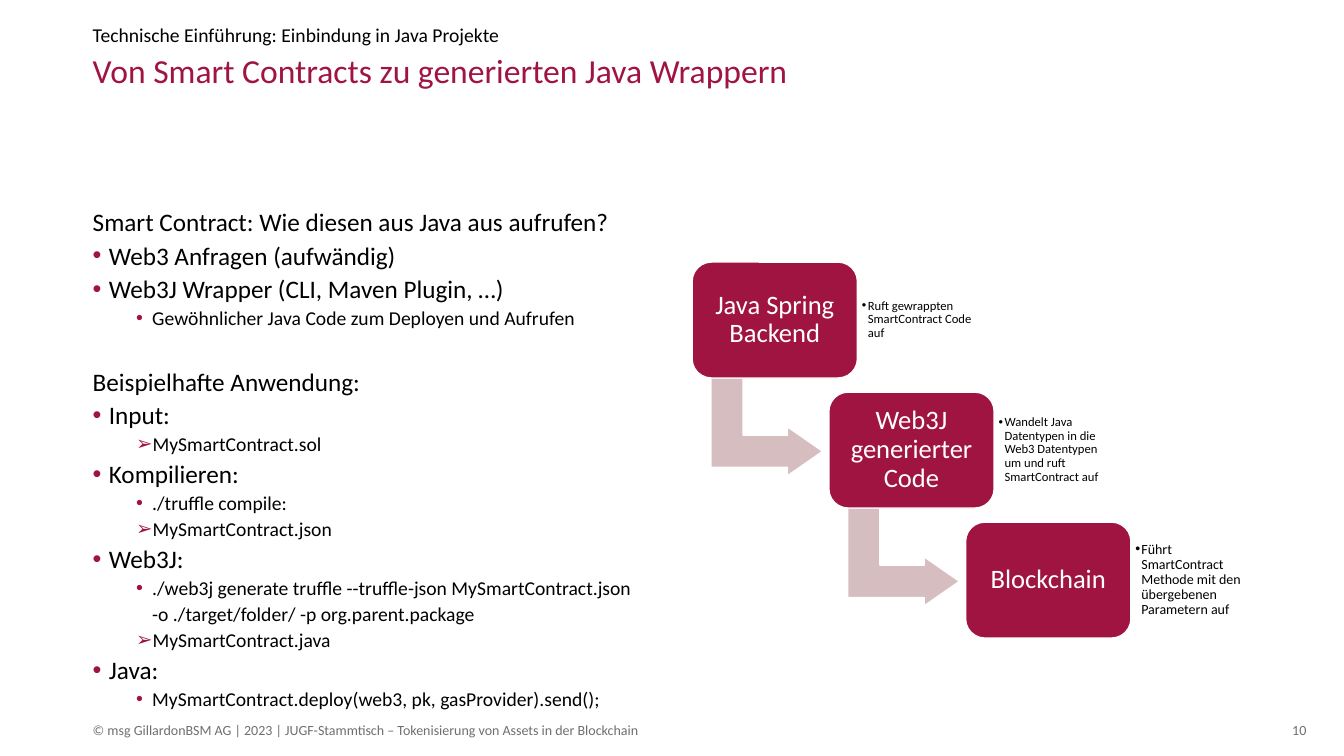
from dataclasses import dataclass
from typing import Optional

from lxml import etree
from pptx import Presentation
from pptx import util as u
from pptx.dml.color import RGBColor
from pptx.enum import shapes, text
from pptx.oxml import ns

CELL = u.Emu(76200)  # the page is a grid of 160 columns by 90 rows
COLUMNS, ROWS = 160, 90


@dataclass(frozen=True)
class Theme:
    font: str = "Calibri"
    accent: str = "A01441"
    arrow: str = "D6BDC0"
    ink: str = "000000"
    paper: str = "FFFFFF"
    muted: str = "6F6F6F"
    title: int = 24
    step: int = 19
    heading: int = 18
    detail: int = 14
    footer: int = 10
    note: int = 9


@dataclass(frozen=True)
class Area:
    column: float
    row: float
    columns: float
    rows: float

    def emu(self) -> list:
        return [round(CELL * n) for n in (self.column, self.row, self.columns, self.rows)]


@dataclass(frozen=True)
class Bullet:
    sign: str
    color: str
    margin: float
    hang: float


@dataclass(frozen=True)
class Item:
    words: str
    level: int = 0
    sign: str = "•"
    before: float = 0


@dataclass(frozen=True)
class Step:
    label: str
    note: str
    note_size: int = 9


THEME = Theme()
LEFT = 11.04
MARGINS = {1: 0.16, 2: 0.59}
HANG = 0.16

ITEMS = [
    Item("Smart Contract: Wie diesen aus Java aus aufrufen?"),
    Item("Web3 Anfragen (aufwändig)", 1),
    Item("Web3J Wrapper (CLI, Maven Plugin, …)", 1),
    Item("Gewöhnlicher Java Code zum Deployen und Aufrufen", 2),
    Item("Beispielhafte Anwendung:", before=24.2),
    Item("Input:", 1),
    Item("MySmartContract.sol", 2, "➢"),
    Item("Kompilieren:", 1),
    Item("./truffle compile:", 2),
    Item("MySmartContract.json", 2, "➢"),
    Item("Web3J:", 1),
    Item("./web3j generate truffle --truffle-json MySmartContract.json\n"
         "-o ./target/folder/ -p org.parent.package", 2),
    Item("MySmartContract.java", 2, "➢"),
    Item("Java:", 1),
    Item("MySmartContract.deploy(web3, pk, gasProvider).send();", 2),
]

STEPS = [
    Step("Java Spring Backend", "Ruft gewrappten SmartContract Code auf"),
    Step("Web3J generierter Code",
         "Wandelt Java Datentypen in die Web3 Datentypen um und ruft SmartContract auf"),
    Step("Blockchain", "Führt SmartContract Methode mit den übergebenen Parametern auf", 10),
]


def set_frame(box, anchor, inset: float = 0):
    frame = box.text_frame
    frame.word_wrap = True
    frame.auto_size = text.MSO_AUTO_SIZE.NONE
    frame.vertical_anchor = anchor
    frame.margin_left = frame.margin_right = u.Inches(inset)
    frame.margin_top = frame.margin_bottom = u.Inches(inset)
    return frame


def set_bullet(para, bullet: Optional[Bullet]) -> None:
    props = para._p.get_or_add_pPr()
    props.set("marL", str(u.Inches(bullet.margin if bullet else 0)))
    props.set("indent", str(-u.Inches(bullet.hang if bullet else 0)))
    if bullet is None:
        etree.SubElement(props, ns.qn("a:buNone"))
        return
    color = etree.SubElement(props, ns.qn("a:buClr"))
    etree.SubElement(color, ns.qn("a:srgbClr"), val=bullet.color)
    etree.SubElement(props, ns.qn("a:buFont"), typeface="Arial")
    etree.SubElement(props, ns.qn("a:buChar"), char=bullet.sign)


def write(para, words: str, size: float, color: str, spacing: float = 1,
          align=text.PP_ALIGN.LEFT, bullet: Optional[Bullet] = None, before: float = 0) -> None:
    set_bullet(para, bullet)
    para.alignment = align
    para.line_spacing = spacing
    para.space_before = u.Pt(before)
    para.space_after = u.Pt(0)
    for number, line in enumerate(words.split("\n")):
        if number:
            para.add_line_break()
        span = para.add_run()
        span.text = line
        span.font.name = THEME.font
        span.font.size = u.Pt(size)
        span.font.color.rgb = RGBColor.from_string(color)


def place(box, area: Area) -> None:
    box.left, box.top, box.width, box.height = area.emu()


def add_shape(page, kind, area: Area, fill: str):
    shape = page.shapes.add_shape(kind, *area.emu())
    shape.shadow.inherit = False
    shape.fill.solid()
    shape.fill.fore_color.rgb = RGBColor.from_string(fill)
    shape.line.color.rgb = RGBColor.from_string(THEME.paper)
    shape.line.width = u.Pt(1)
    return shape


def add_footer(page, words: str, area: Area, align) -> None:
    box = page.shapes.add_textbox(*area.emu())
    frame = set_frame(box, text.MSO_ANCHOR.MIDDLE)
    write(frame.paragraphs[0], words, THEME.footer, THEME.muted, align=align)


def add_step(page, step: Step, column: float, row: float, has_next: bool) -> None:
    if has_next:
        arrow = add_shape(page, shapes.MSO_SHAPE.BENT_UP_ARROW,
                          Area(column + 3.06, row + 12.96, 11.64, 13.32), THEME.arrow)
        arrow.rotation = 90
        for index, share in enumerate((0.33, 0.25, 0.36)):
            arrow.adjustments[index] = share

    box = add_shape(page, shapes.MSO_SHAPE.ROUNDED_RECTANGLE,
                    Area(column, row, 19.68, 13.8), THEME.accent)
    frame = set_frame(box, text.MSO_ANCHOR.MIDDLE, 0.08)
    write(frame.paragraphs[0], step.label, THEME.step, THEME.paper, 0.9, text.PP_ALIGN.CENTER)

    note = page.shapes.add_textbox(*Area(column + 19.6, row + 1.3, 14.28, 11.16).emu())
    frame = set_frame(note, text.MSO_ANCHOR.MIDDLE, 0.05)
    write(frame.paragraphs[0], step.note, step.note_size, THEME.ink, 0.9,
          bullet=Bullet("•", THEME.ink, 0.06, 0.06))


def main() -> None:
    deck = Presentation()
    deck.slide_width, deck.slide_height = CELL * COLUMNS, CELL * ROWS
    page = deck.slides.add_slide(deck.slide_layouts[3])
    title, kicker, body = page.placeholders

    # Heading
    place(title, Area(LEFT, 6.48, 122.88, 10.2))
    frame = set_frame(title, text.MSO_ANCHOR.TOP)
    write(frame.paragraphs[0], "Von Smart Contracts zu generierten Java Wrappern",
          THEME.title, THEME.accent, 0.9)
    place(kicker, Area(LEFT, 2.64, 98.16, 2.88))
    frame = set_frame(kicker, text.MSO_ANCHOR.BOTTOM)
    write(frame.paragraphs[0], "Technische Einführung: Einbindung in Java Projekte",
          THEME.detail, THEME.ink, 1.1)

    # List
    place(body, Area(LEFT, 24.24, 66.6, 58.56))
    frame = set_frame(body, text.MSO_ANCHOR.TOP)
    for number, item in enumerate(ITEMS):
        para = frame.add_paragraph() if number else frame.paragraphs[0]
        para.level = item.level
        bullet = Bullet(item.sign, THEME.accent, MARGINS[item.level], HANG) if item.level else None
        size = THEME.detail if item.level == 2 else THEME.heading
        write(para, item.words, size, THEME.ink, 1.1, bullet=bullet, before=item.before)

    # Descending steps
    for number, step in enumerate(STEPS):
        add_step(page, step, 82.4 + 16.28 * number, 31.2 + 15.48 * number,
                 number < len(STEPS) - 1)

    # Footer
    add_footer(page, "© msg GillardonBSM AG | 2023 | JUGF-Stammtisch – "
               "Tokenisierung von Assets in der Blockchain",
               Area(LEFT, 85.68, 96, 2.52), text.PP_ALIGN.LEFT)
    add_footer(page, "10", Area(148.92, 85.68, 6.6, 2.52), text.PP_ALIGN.RIGHT)

    deck.save("out.pptx")


if __name__ == "__main__":
    main()
